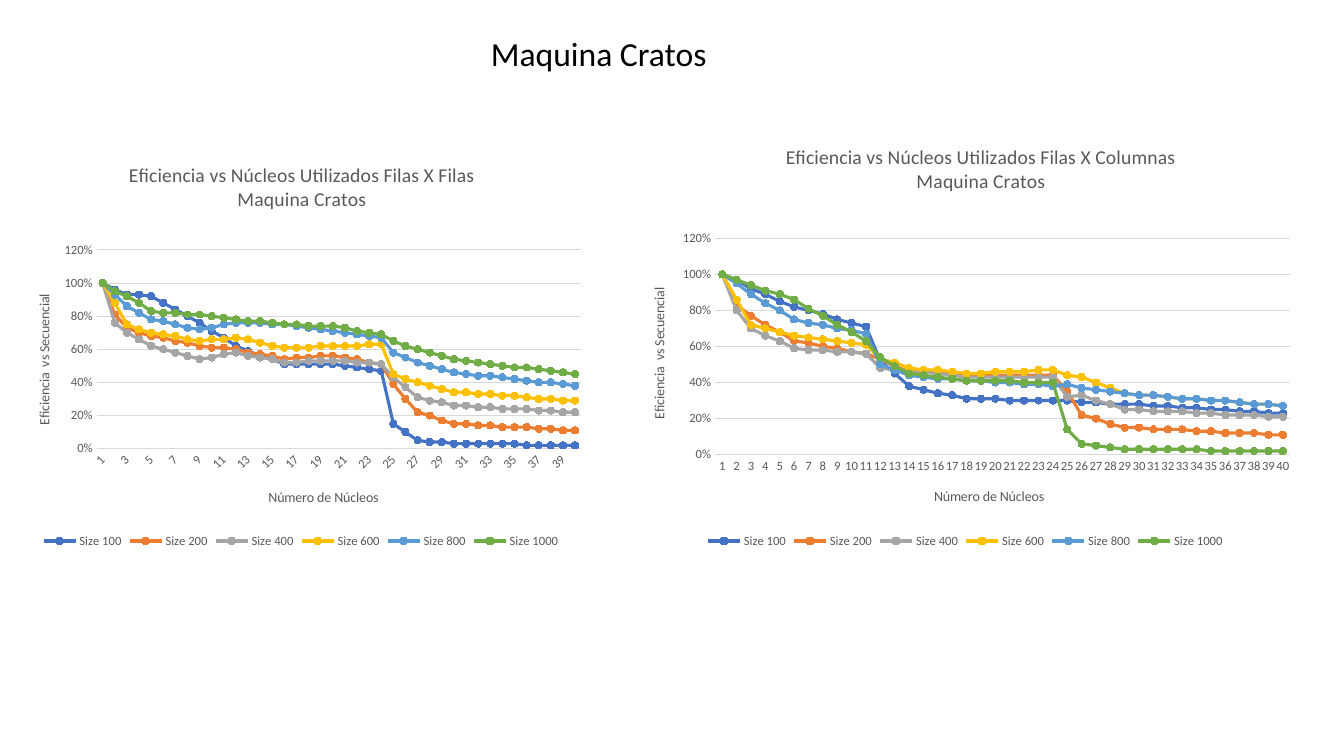
from itertools import pairwise
from lxml.etree import SubElement
from pptx import Presentation
from pptx.chart.data import CategoryChartData
from pptx.dml.color import RGBColor
from pptx.enum.chart import XL_CHART_TYPE, XL_LEGEND_POSITION, XL_MARKER_STYLE, XL_TICK_MARK
from pptx.oxml.ns import qn
from pptx.util import Inches, Pt

BLACK = RGBColor(0x00, 0x00, 0x00)
GRAY = RGBColor(0x59, 0x59, 0x59)
GRID = RGBColor(0xD9, 0xD9, 0xD9)
SIZE_COLORS = {
    100: RGBColor(0x44, 0x72, 0xC4),
    200: RGBColor(0xED, 0x7D, 0x31),
    400: RGBColor(0xA5, 0xA5, 0xA5),
    600: RGBColor(0xFF, 0xC0, 0x00),
    800: RGBColor(0x5B, 0x9B, 0xD5),
    1000: RGBColor(0x70, 0xAD, 0x47),
}

# Efficiency in percent at the bends of each curve, one row per matrix size
ROWS_BY_ROWS_CORES = [1, 2, 3, 5, 9, 12, 16, 20, 24, 25, 27, 30, 40]
ROWS_BY_ROWS = [
    [100, 96, 93, 92, 76, 62, 51, 51, 47, 15, 5, 3, 2],
    [100, 81, 73, 68, 62, 60, 54, 56, 51, 39, 22, 15, 11],
    [100, 76, 70, 62, 54, 58, 52, 53, 51, 43, 31, 26, 22],
    [100, 88, 75, 70, 65, 67, 61, 62, 63, 45, 40, 34, 29],
    [100, 93, 86, 78, 72, 76, 75, 71, 67, 58, 52, 46, 38],
    [100, 95, 92, 83, 81, 78, 75, 74, 69, 65, 60, 54, 45],
]
ROWS_BY_COLUMNS_CORES = [1, 2, 3, 6, 11, 12, 14, 18, 24, 25, 26, 29, 40]
ROWS_BY_COLUMNS = [
    [100, 97, 92, 82, 71, 52, 38, 31, 30, 30, 29, 28, 23],
    [100, 83, 77, 63, 56, 53, 46, 44, 44, 35, 22, 15, 11],
    [100, 80, 70, 59, 56, 48, 47, 43, 43, 32, 33, 25, 21],
    [100, 86, 72, 66, 61, 53, 48, 45, 47, 44, 43, 34, 27],
    [100, 95, 89, 75, 67, 50, 44, 41, 38, 39, 37, 34, 27],
    [100, 97, 94, 86, 63, 54, 45, 41, 40, 14, 6, 3, 2],
]


def fill_curve(cores, percents):
    """Return one value per core, running straight between the bends."""
    values = [percents[0] / 100]
    for (core, percent), (next_core, next_percent) in pairwise(zip(cores, percents)):
        steps = next_core - core
        for step in range(1, steps + 1):
            value = percent + (next_percent - percent) * step / steps
            values.append(round(value / 100, 2))
    return values


def place(holder, **layout):
    """Give a chart part a manual layout in fractions of the chart."""
    for old in holder.findall(qn("c:layout")):
        holder.remove(old)
    element = SubElement(holder, qn("c:layout"))
    manual = SubElement(element, qn("c:manualLayout"))
    is_plot = "w" in layout
    if is_plot:
        SubElement(manual, qn("c:layoutTarget")).set("val", "inner")
    for axis in "xy":
        SubElement(manual, qn(f"c:{axis}Mode")).set("val", "edge")
    for key, value in layout.items():
        SubElement(manual, qn(f"c:{key}")).set("val", str(value))
    holder.insert(0 if is_plot else 1, element)


class EfficiencySlide:
    font_name = "Calibri"

    def __init__(self, slide):
        self.slide = slide

    def style(self, font, size, color):
        font.name, font.size, font.color.rgb = self.font_name, Pt(size), color
        font.bold = False

    def heading(self, text, left, top, width, height):
        box = self.slide.shapes.add_textbox(*map(Inches, (left, top, width, height)))
        frame = box.text_frame
        frame.word_wrap = True
        frame.text = text
        self.style(frame.paragraphs[0].runs[0].font, 24, BLACK)

    def chart_text(self, title, text, size, x, y, rotation=0):
        title.text_frame.text = text
        for paragraph in title.text_frame.paragraphs:
            for run in paragraph.runs:
                self.style(run.font, size, GRAY)
        body = title.element.xpath(".//a:bodyPr")[0]
        body.set("rot", str(rotation))
        body.set("vert", "horz")
        place(title.element, x=x, y=y)

    def line_chart(self, box, title, cores_measured, efficiency, plot,
                   title_at, cores_at, efficiency_at):
        data = CategoryChartData(number_format="0%")
        data.categories = [str(core) for core in range(1, 41)]
        for size, percents in zip(SIZE_COLORS, efficiency):
            data.add_series(f"Size {size}", fill_curve(cores_measured, percents))
        chart = self.slide.shapes.add_chart(
            XL_CHART_TYPE.LINE_MARKERS, *map(Inches, box), data).chart
        self.style(chart.font, 10, BLACK)

        # Titles
        chart.has_title = True
        self.chart_text(chart.chart_title, title, 14, *title_at)
        cores, secuencial = chart.category_axis, chart.value_axis
        self.chart_text(cores.axis_title, "Número de Núcleos", 10, *cores_at)
        self.chart_text(secuencial.axis_title, "Eficiencia  vs Secuencial", 10,
                        *efficiency_at, rotation=-5400000)

        # Axes
        for axis in (cores, secuencial):
            axis.major_tick_mark = axis.minor_tick_mark = XL_TICK_MARK.NONE
            self.style(axis.tick_labels.font, 9, GRAY)
        label_body = chart.element.xpath(".//c:catAx/c:txPr/a:bodyPr")[0]
        label_body.set("rot", "-60000000")
        label_body.set("vert", "horz")
        secuencial.minimum_scale, secuencial.maximum_scale = 0, 1.2
        secuencial.major_unit = 0.2
        secuencial.tick_labels.number_format = "0%"
        secuencial.tick_labels.number_format_is_linked = False
        secuencial.format.line.fill.background()
        for line in (cores.format.line, secuencial.major_gridlines.format.line):
            line.color.rgb = GRID
            line.width = Pt(0.75)

        # Legend and plot area
        chart.has_legend = True
        chart.legend.position = XL_LEGEND_POSITION.BOTTOM
        chart.legend.include_in_layout = False
        self.style(chart.legend.font, 9, GRAY)
        place(chart.element.xpath(".//c:plotArea")[0], **plot)

        # Series
        chart.plots[0].vary_by_categories = False
        for series, color in zip(chart.plots[0].series, SIZE_COLORS.values()):
            series.smooth = False
            series.format.line.color.rgb = color
            series.format.line.width = Pt(2.25)
            series.marker.style = XL_MARKER_STYLE.CIRCLE
            series.marker.size = 5
            series.marker.format.fill.solid()
            series.marker.format.fill.fore_color.rgb = color
            series.marker.format.line.color.rgb = color


def main():
    presentation = Presentation()
    presentation.slide_width, presentation.slide_height = Inches(13.33), Inches(7.5)
    page = EfficiencySlide(presentation.slides.add_slide(presentation.slide_layouts[6]))

    # Rows by rows
    page.line_chart(
        (0.09, 1.37, 5.79, 4.11),
        "Eficiencia vs Núcleos Utilizados Filas X Filas\nMaquina Cratos",
        ROWS_BY_ROWS_CORES, ROWS_BY_ROWS, dict(x=0.15, y=0.27, w=0.83, h=0.48),
        title_at=(0.2, 0.05), cores_at=(0.44, 0.84), efficiency_at=(0.04, 0.37))

    # Rows by columns
    page.line_chart(
        (6.22, 1.27, 6.71, 4.21),
        "Eficiencia vs Núcleos Utilizados Filas X Columnas\nMaquina Cratos",
        ROWS_BY_COLUMNS_CORES, ROWS_BY_COLUMNS, dict(x=0.13, y=0.26, w=0.85, h=0.51),
        title_at=(0.23, 0.03), cores_at=(0.45, 0.84), efficiency_at=(0.03, 0.37))

    # Slide heading
    page.heading("Maquina Cratos", 4.77, 0.28, 2.54, 0.5)
    presentation.save("out.pptx")


if __name__ == "__main__":
    main()
